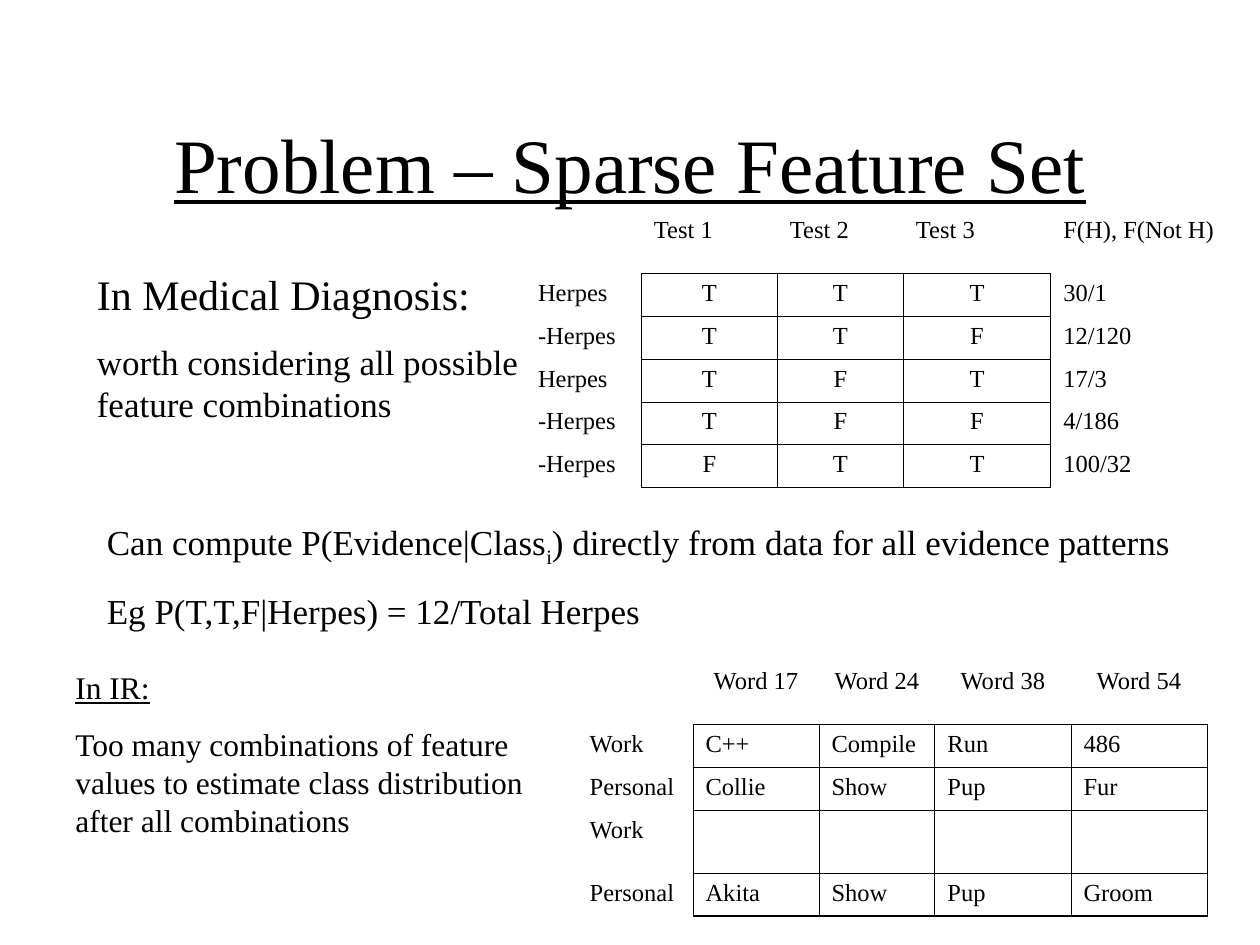
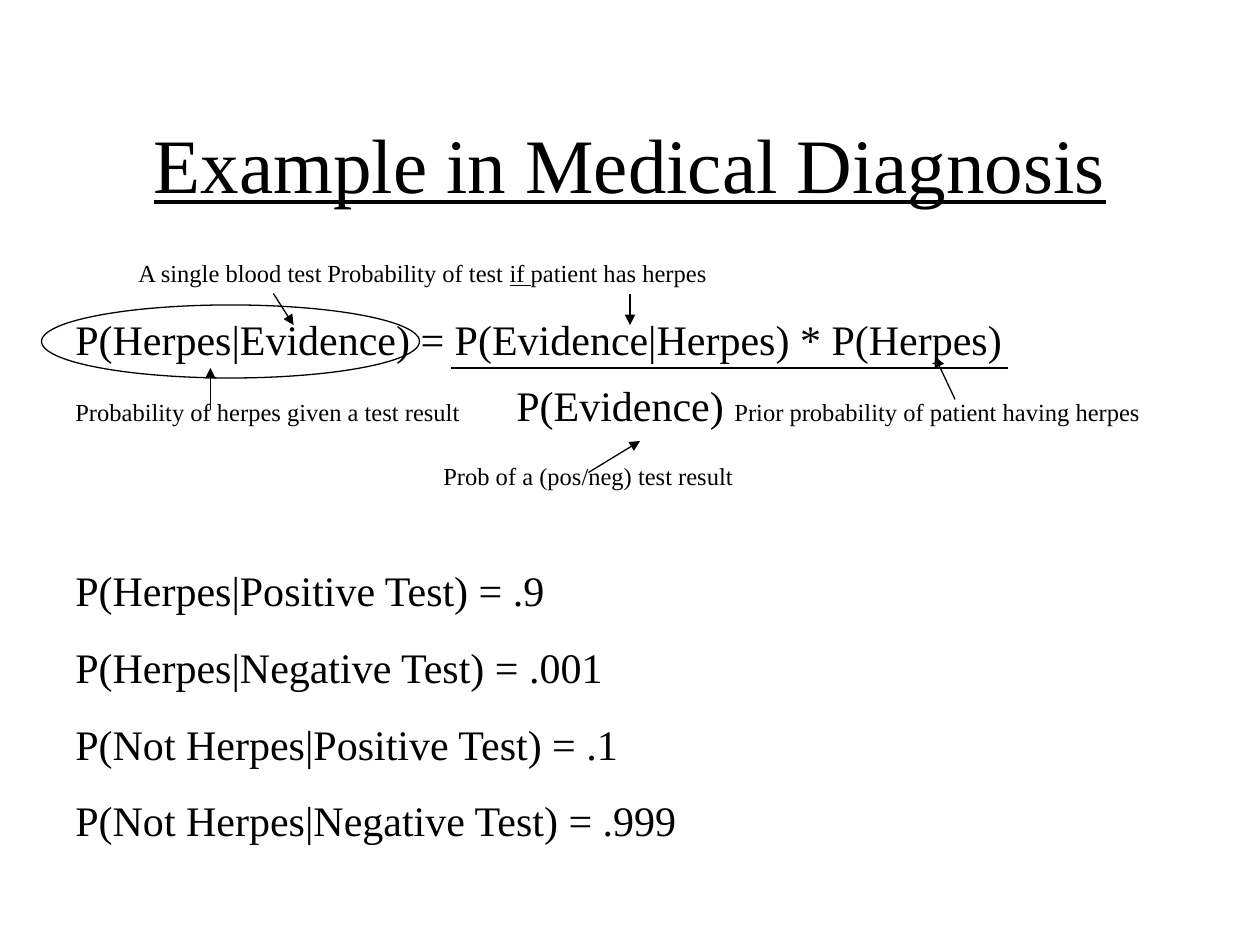
from dataclasses import dataclass

from lxml import etree
from pptx import Presentation
from pptx.dml.color import RGBColor
from pptx.enum.shapes import MSO_CONNECTOR, MSO_SHAPE
from pptx.enum.text import MSO_ANCHOR, MSO_AUTO_SIZE, PP_ALIGN
from pptx.oxml.ns import qn
from pptx.util import Inches, Pt

BLACK = RGBColor(0x00, 0x00, 0x00)
WHITE = RGBColor(0xFF, 0xFF, 0xFF)
FONT = "Times New Roman"
LEFT, CENTER = PP_ALIGN.LEFT, PP_ALIGN.CENTER
MIDDLE = MSO_ANCHOR.MIDDLE
NO_FIT, GROW = MSO_AUTO_SIZE.NONE, MSO_AUTO_SIZE.SHAPE_TO_FIT_TEXT
STRAIGHT, ELLIPSE = MSO_CONNECTOR.STRAIGHT, MSO_SHAPE.OVAL
TITLE_ONLY = 5
LINE_WIDTH = 0.75
THIN, THICK = 0.45, 1.08
HEADER_HEIGHT, ROW_HEIGHT, BLANK_HEIGHT = 0.5, 0.34, 0.5
SIDES = (("a:lnL", 0, -1), ("a:lnR", 0, 1), ("a:lnT", -1, 0), ("a:lnB", 1, 0))


@dataclass(frozen=True)
class Span:
    text: str
    size: float
    underline: bool = False
    subscript: bool = False


@dataclass(frozen=True)
class Para:
    spans: tuple[Span, ...]
    before: float
    indent: float = 0


@dataclass(frozen=True)
class TextBlock:
    left: float
    top: float
    width: float
    height: float
    paras: tuple[Para, ...]


@dataclass(frozen=True)
class FeatureTable:
    left: float
    top: float
    columns: tuple[float, ...]
    rows: tuple[tuple[str, ...], ...]
    last_ruled_column: int
    header_align: PP_ALIGN
    body_align: PP_ALIGN


@dataclass(frozen=True)
class Stroke:
    start: tuple[float, float]
    end: tuple[float, float]
    arrow: bool = True


def plain(text: str, size: float, before: float, underline: bool = False) -> Para:
    return Para((Span(text, size, underline),), before)


def write_span(para, text: str, *, size: float, underline: bool = False, subscript: bool = False) -> None:
    span = para.add_run()
    span.text = text
    span.font.name = FONT
    span.font.size = Pt(size)
    span.font.color.rgb = BLACK
    span.font.underline = underline
    if subscript:
        span._r.get_or_add_rPr().set("baseline", "-25000")


def add_page(deck, title: str):
    page = deck.slides.add_slide(deck.slide_layouts[TITLE_ONLY])
    page.background.fill.solid()
    page.background.fill.fore_color.rgb = WHITE
    box = page.shapes.title
    box.left, box.top, box.width, box.height = map(Inches, (0.75, 0.67, 8.5, 1.25))
    frame = box.text_frame
    frame.auto_size = NO_FIT
    frame.vertical_anchor = MIDDLE
    para = frame.paragraphs[0]
    para.alignment = CENTER
    write_span(para, title, size=44, underline=True)
    return page


def add_text(page, block: TextBlock) -> None:
    box = page.shapes.add_textbox(*map(Inches, (block.left, block.top, block.width, block.height)))
    frame = box.text_frame
    frame.word_wrap = True
    frame.auto_size = GROW
    for index, item in enumerate(block.paras):
        para = frame.add_paragraph() if index else frame.paragraphs[0]
        para.space_before = Pt(item.before)
        if item.indent:
            para._p.get_or_add_pPr().set("marL", str(Inches(item.indent)))
        for span in item.spans:
            write_span(para, span.text, size=span.size, underline=span.underline, subscript=span.subscript)


def set_border(cell, tag: str, width: float) -> None:
    border = etree.SubElement(cell._tc.get_or_add_tcPr(), qn(tag), w=str(Pt(width)))
    if not width:
        etree.SubElement(border, qn("a:noFill"))
        return
    fill = etree.SubElement(border, qn("a:solidFill"))
    etree.SubElement(fill, qn("a:srgbClr"), val=str(BLACK))


def add_feature_table(page, data: FeatureTable) -> None:
    last_row = len(data.rows) - 1
    heights = [HEADER_HEIGHT] + [ROW_HEIGHT if any(row[1:]) else BLANK_HEIGHT for row in data.rows[1:]]
    frame = page.shapes.add_table(
        len(data.rows), len(data.columns),
        *map(Inches, (data.left, data.top, sum(data.columns), sum(heights))),
    )
    table = frame.table
    table.first_row = False
    table.horz_banding = False
    for column, width in zip(table.columns, data.columns):
        column.width = Inches(width)
    for row, height in zip(table.rows, heights):
        row.height = Inches(height)

    def ruled(row: int, column: int) -> bool:
        return 1 <= row <= last_row and 1 <= column <= data.last_ruled_column

    for row, values in enumerate(data.rows):
        for column, value in enumerate(values):
            cell = table.cell(row, column)
            for tag, down, across in SIDES:
                visible = ruled(row, column) or ruled(row + down, column + across)
                bottom = tag == "a:lnB" and row == last_row
                set_border(cell, tag, (THICK if bottom else THIN) if visible else 0)
            cell.fill.background()
            para = cell.text_frame.paragraphs[0]
            para.space_before = Pt(3.5)
            if 1 <= column <= data.last_ruled_column:
                para.alignment = data.body_align if row else data.header_align
            else:
                para.alignment = LEFT
            if value:
                write_span(para, value, size=14)
            else:
                para.font.size = Pt(14)


def add_stroke(page, stroke: Stroke) -> None:
    line = page.shapes.add_connector(STRAIGHT, *map(Inches, stroke.start + stroke.end))
    line.line.color.rgb = BLACK
    line.line.width = Pt(LINE_WIDTH)
    if stroke.arrow:
        etree.SubElement(line.line._get_or_add_ln(), qn("a:tailEnd"), type="triangle")
    etree.SubElement(line._element.spPr, qn("a:effectLst"))


def add_ellipse(page, left: float, top: float, width: float, height: float) -> None:
    ellipse = page.shapes.add_shape(ELLIPSE, *map(Inches, (left, top, width, height)))
    ellipse.shadow.inherit = False
    ellipse.fill.background()
    ellipse.line.color.rgb = BLACK
    ellipse.line.width = Pt(LINE_WIDTH)


DIAGNOSIS_TABLE = FeatureTable(
    4.17, 1.67, (0.92, 1.08, 1, 1.17, 1.92),
    (
        ("", "Test 1", "Test 2", "Test 3", "F(H), F(Not H)"),
        ("Herpes", "T", "T", "T", "30/1"),
        ("-Herpes", "T", "T", "F", "12/120"),
        ("Herpes", "T", "F", "T", "17/3"),
        ("-Herpes", "T", "F", "F", "4/186"),
        ("-Herpes", "F", "T", "T", "100/32"),
    ),
    last_ruled_column=3, header_align=LEFT, body_align=CENTER,
)
RETRIEVAL_TABLE = FeatureTable(
    4.58, 5.25, (0.92, 1, 0.92, 1.08, 1.08),
    (
        ("", "Word 17", "Word 24", "Word 38", "Word 54"),
        ("Work", "C++", "Compile", "Run", "486"),
        ("Personal", "Collie", "Show", "Pup", "Fur"),
        ("Work", "", "", "", ""),
        ("Personal", "Akita", "Show", "Pup", "Groom"),
    ),
    last_ruled_column=4, header_align=CENTER, body_align=LEFT,
)
SPARSE_TEXTS = (
    TextBlock(0.67, 2.08, 3.75, 1.34, (
        plain("In Medical Diagnosis:", 24, 15),
        plain("worth considering all possible feature combinations", 20, 12.5),
    )),
    TextBlock(0.75, 4.08, 8.67, 0.99, (
        Para((
            Span("Can compute P(Evidence|Class", 20),
            Span("i", 20, subscript=True),
            Span(") directly from data for all evidence patterns", 20),
        ), 12.5),
        plain("Eg P(T,T,F|Herpes) = 12/Total Herpes", 20, 12.5),
    )),
    TextBlock(0.5, 5.25, 4, 1.46, (
        plain("In IR:", 18, 11.2, underline=True),
        plain("Too many combinations of feature values to estimate class distribution "
              "after all combinations", 18, 11.2),
    )),
)
RESULTS = (
    ("P(Herpes|Positive Test) = .9", 42.5),
    ("P(Herpes|Negative Test) = .001", 15),
    ("P(Not Herpes|Positive Test) = .1", 15),
    ("P(Not Herpes|Negative Test) = .999", 15),
)
BAYES_TEXT = TextBlock(0.5, 2, 9.17, 4.78, (
    Para((
        Span("\tA single blood test\tProbability of test ", 14),
        Span("if ", 14, underline=True),
        Span("patient has herpes", 14),
    ), 8.8),
    plain("P(Herpes|Evidence) = P(Evidence|Herpes) * P(Herpes)", 24, 15),
    Para((
        Span("Probability of herpes given a test result", 14),
        Span("\tP(Evidence) ", 24),
        Span("Prior probability of patient having herpes", 14),
    ), 8.8),
    Para((Span("Prob of a (pos/neg) test result", 14),), 17.7, indent=2.92),
    *(plain(text, 24, before) for text, before in RESULTS),
))
BAYES_STROKES = (
    Stroke((1.67, 3.25), (1.67, 2.92)),
    Stroke((2.17, 2.33), (2.33, 2.58)),
    Stroke((5, 2.33), (5, 2.58)),
    Stroke((3.58, 2.92), (8, 2.92), arrow=False),
    Stroke((4.67, 3.75), (5.08, 3.5)),
    Stroke((7.58, 3.17), (7.42, 2.83)),
)


def main() -> None:
    deck = Presentation()
    deck.slide_width, deck.slide_height = Inches(10), Inches(7.5)

    sparse = add_page(deck, "Problem – Sparse Feature Set")
    for block in SPARSE_TEXTS:
        add_text(sparse, block)
    for data in (DIAGNOSIS_TABLE, RETRIEVAL_TABLE):
        add_feature_table(sparse, data)

    bayes = add_page(deck, "Example in Medical Diagnosis")
    add_text(bayes, BAYES_TEXT)
    for stroke in BAYES_STROKES:
        add_stroke(bayes, stroke)
    add_ellipse(bayes, 0.33, 2.42, 3, 0.58)

    deck.save("out.pptx")


if __name__ == "__main__":
    main()
